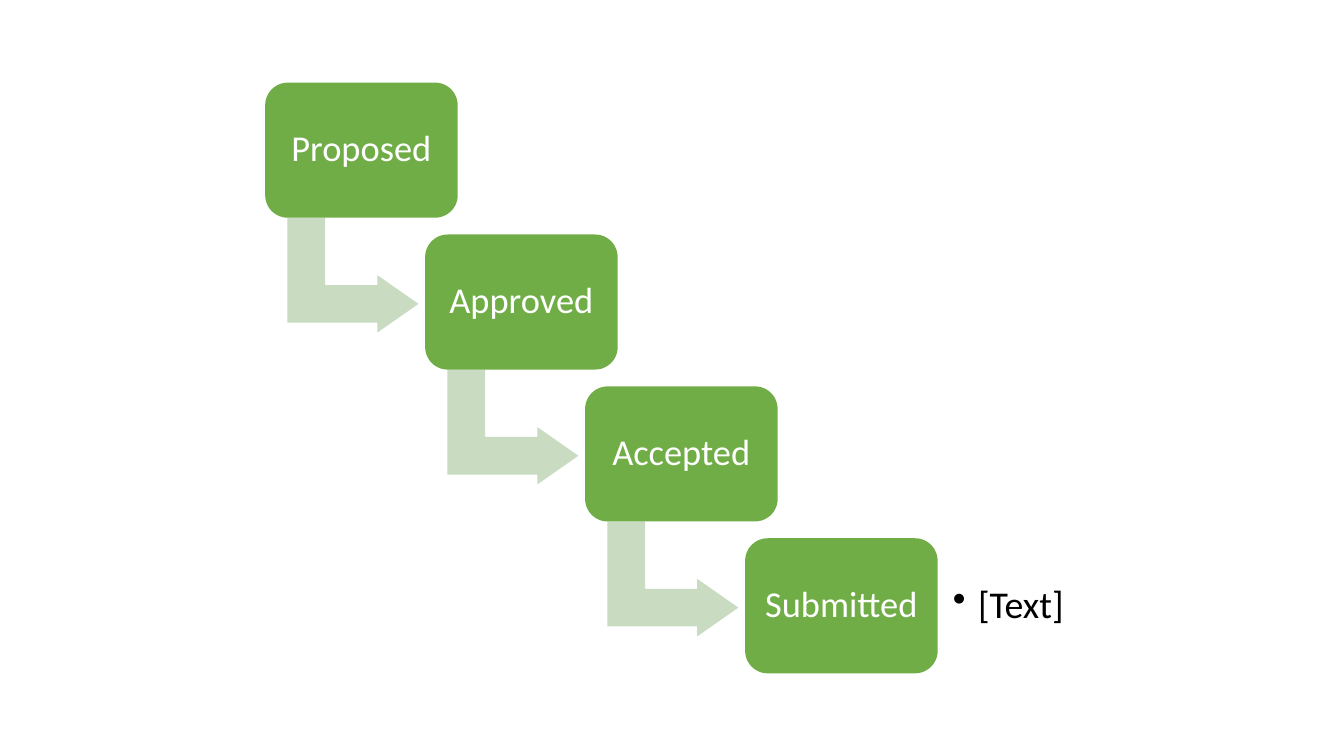
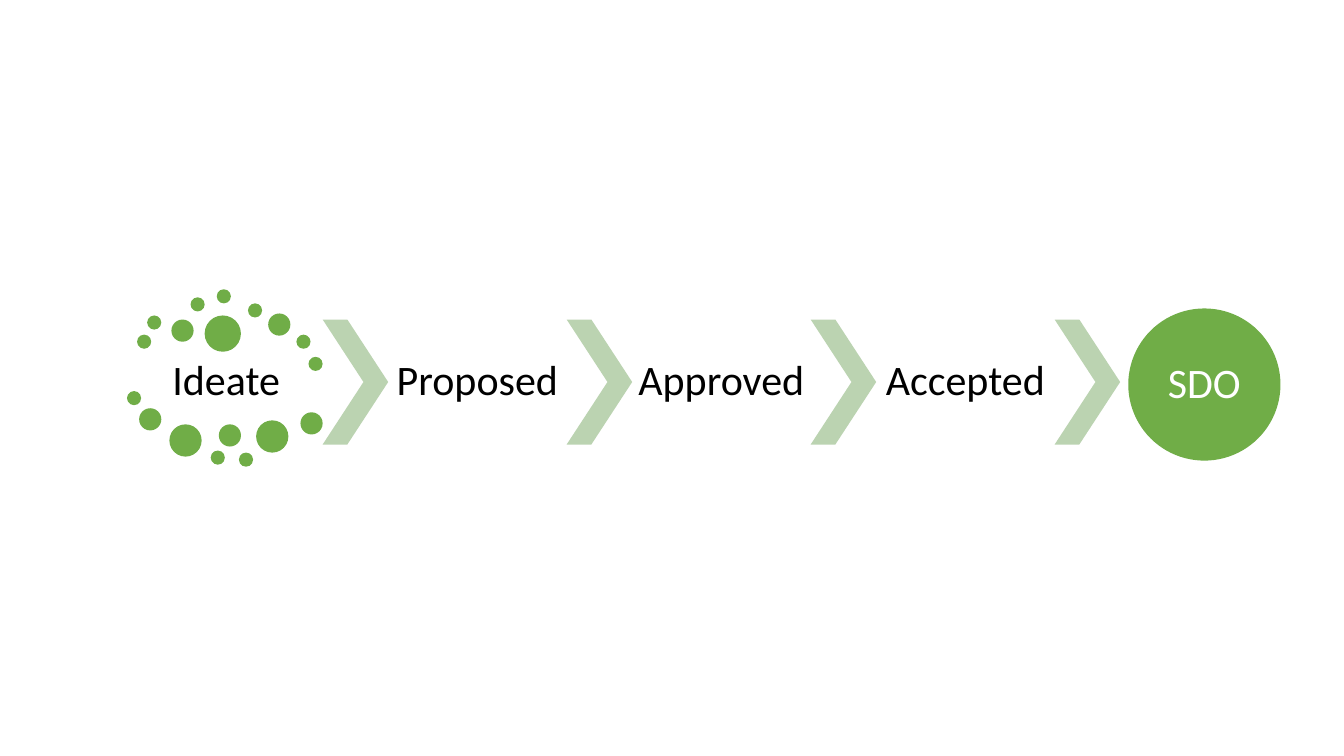
from dataclasses import dataclass

from lxml.etree import SubElement
from pptx import Presentation
from pptx.dml.color import RGBColor
from pptx.enum.shapes import MSO_SHAPE as Preset
from pptx.enum.text import MSO_ANCHOR as Anchor, PP_ALIGN as Align
from pptx.oxml.ns import qn
from pptx.util import Inches, Pt


@dataclass(frozen=True)
class Theme:
    font: str = "Calibri"
    green: str = "70AD47"
    arrow: str = "C9DBC1"
    chevron: str = "BBD3B1"
    light: str = "FFFFFF"
    dark: str = "000000"
    step_size: int = 26
    bullet_size: int = 27
    stage_size: int = 30
    line_spacing: float = 0.9


THEME = Theme()

STEPS = ["Proposed", "Approved", "Accepted", "Submitted"]
STEP_NOTE = "[Text]"
FIRST_STEP, LAST_STEP = (2.63, 0.82), (7.39, 5.34)
STEP_SIZE = (1.91, 1.34)
ARROW_OFFSET, ARROW_SIZE = (0.3, 1.26), (1.14, 1.3)
ARROW_BENDS = [0.328, 0.25, 0.358]

IDEA = "Ideate"
STAGES = ["Proposed", "Approved", "Accepted"]
OUTCOME = "SDO"
CHEVRON_LEFT, STAGE_TOP, STAGE_HEIGHT = 3.2, 3.17, 1.24
CHEVRON_WIDTH, STAGE_WIDTH = 0.65, 1.77
DOTS = {
    0.14: [(1.36, 3.32), (1.46, 3.13), (1.89, 2.95), (2.15, 2.87), (2.46, 3.01),
           (2.94, 3.32), (3.06, 3.54), (1.26, 3.88), (2.09, 4.47), (2.37, 4.49)],
    0.22: [(1.7, 3.17), (2.66, 3.11), (1.38, 4.05), (2.17, 4.21), (2.98, 4.09)],
    0.32: [(1.68, 4.21), (2.54, 4.17)],
    0.36: [(2.03, 3.13)],
}


def apply(target, values):
    for name, value in values.items():
        setattr(target, name, value)


def write(box, text, size, color, inset, align=Align.CENTER):
    margins = {f"margin_{side}": Inches(inset) for side in ("left", "top", "right", "bottom")}
    apply(box.text_frame, {"word_wrap": True, "vertical_anchor": Anchor.MIDDLE, **margins})
    para = box.text_frame.paragraphs[0]
    apply(para, {"alignment": align, "line_spacing": THEME.line_spacing})
    span = para.add_run()
    span.text = text
    apply(span.font, {"name": THEME.font, "size": Pt(size)})
    span.font.color.rgb = RGBColor.from_string(color)
    return para


def add_preset(page, preset, left, top, width, height, color, bends=(), rotation=0):
    shape = page.shapes.add_shape(preset, *map(Inches, (left, top, width, height)))
    shape.shadow.inherit = False
    shape.fill.solid()
    shape.fill.fore_color.rgb = RGBColor.from_string(color)
    shape.line.fill.background()
    shape.rotation = rotation
    for index, bend in enumerate(bends):
        shape.adjustments[index] = bend
    return shape


def add_label(page, text, left, top, width, height, size, inset, align=Align.CENTER):
    box = page.shapes.add_textbox(*map(Inches, (left, top, width, height)))
    return write(box, text, size, THEME.dark, inset, align)


def add_bullet(para):
    properties = para._p.get_or_add_pPr()
    indent = Inches(0.25)
    properties.set("marL", str(indent))
    properties.set("indent", str(-indent))
    SubElement(properties, qn("a:buChar"), char="•")


def build_staircase(page):
    pitch = [(last - first) / (len(STEPS) - 1) for first, last in zip(FIRST_STEP, LAST_STEP)]
    for index, name in enumerate(STEPS):
        left, top = (first + index * gap for first, gap in zip(FIRST_STEP, pitch))
        if index < len(STEPS) - 1:
            add_preset(page, Preset.BENT_UP_ARROW, left + ARROW_OFFSET[0], top + ARROW_OFFSET[1],
                       *ARROW_SIZE, THEME.arrow, ARROW_BENDS, 90)
        step = add_preset(page, Preset.ROUNDED_RECTANGLE, left, top, *STEP_SIZE,
                          THEME.green, [0.167])
        write(step, name, THEME.step_size, THEME.light, 0.11)
    add_bullet(add_label(page, STEP_NOTE, 9.3, 5.47, 1.45, 1.08,
                         THEME.bullet_size, 0.15, Align.LEFT))


def build_pipeline(page):
    add_label(page, IDEA, 1.36, 3.5, STAGE_WIDTH, 0.58, THEME.stage_size, 0.04)
    for diameter, places in DOTS.items():
        for left, top in places:
            add_preset(page, Preset.OVAL, left, top, diameter, diameter, THEME.green)
    for index in range(len(STAGES) + 1):
        left = CHEVRON_LEFT + index * (CHEVRON_WIDTH + STAGE_WIDTH)
        add_preset(page, Preset.CHEVRON, left, STAGE_TOP, CHEVRON_WIDTH, STAGE_HEIGHT,
                   THEME.chevron, [0.623])
        if index < len(STAGES):
            add_label(page, STAGES[index], left + CHEVRON_WIDTH, STAGE_TOP,
                      STAGE_WIDTH, STAGE_HEIGHT, THEME.stage_size, 0.04)
    outcome = add_preset(page, Preset.OVAL, 11.19, 3.06, 1.51, 1.51, THEME.green)
    write(outcome, OUTCOME, THEME.stage_size, THEME.light, 0)


def main():
    deck = Presentation()
    apply(deck, {"slide_width": Inches(13.33), "slide_height": Inches(7.5)})
    for build in (build_staircase, build_pipeline):
        build(deck.slides.add_slide(deck.slide_layouts[6]))
    deck.save("out.pptx")


if __name__ == "__main__":
    main()
